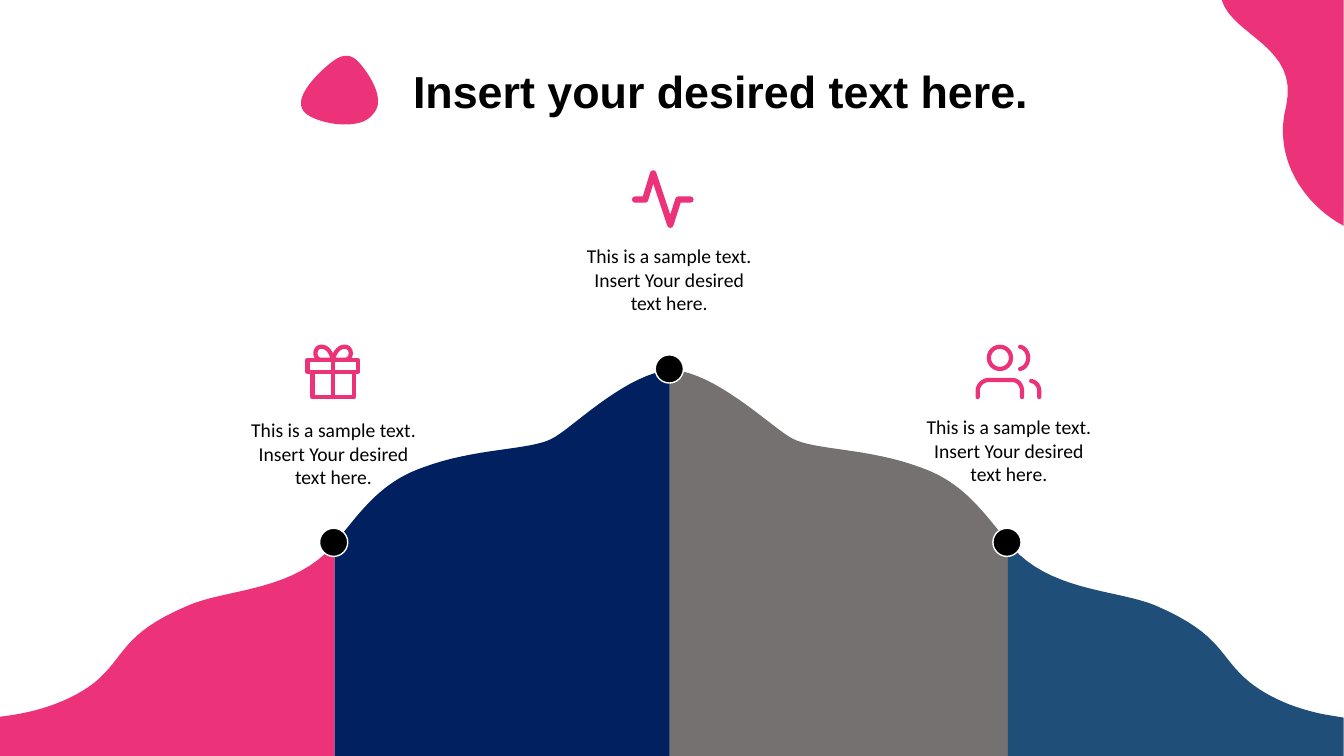
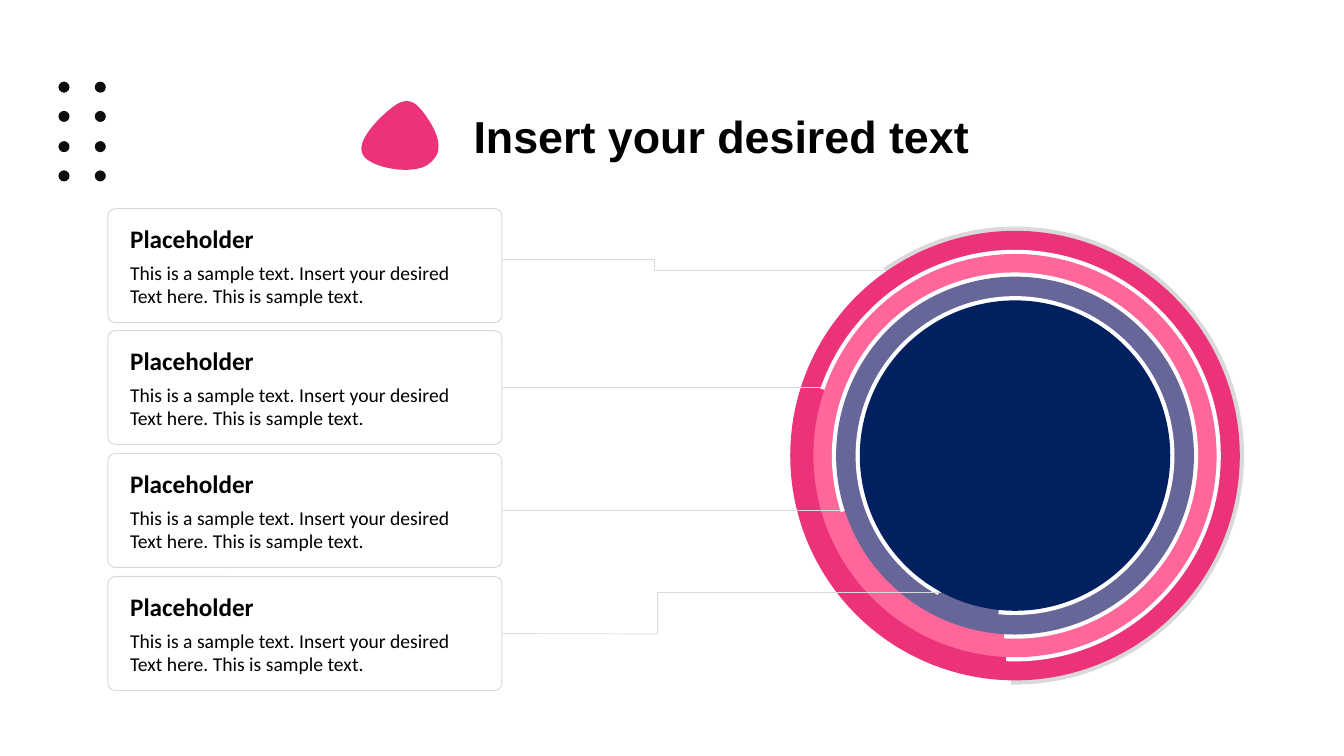
from lxml.etree import SubElement
from pptx import Presentation
from pptx.dml.color import RGBColor
from pptx.enum.shapes import MSO_CONNECTOR, MSO_SHAPE
from pptx.enum.text import MSO_ANCHOR, PP_ALIGN
from pptx.oxml.ns import qn
from pptx.util import Emu, Pt

SCALE = 9144  # EMU in one px: 100 px to the inch
STEPS = 16    # straight pieces in one curve

HUE = {
    "pink": "EC3279", "rose": "FF6699", "mauve": "666699", "navy": "002060",
    "stone": "767171", "teal": "1F4E79", "black": "000000", "dot": "0D0D0D",
    "pale": "D9D9D9", "white": "FFFFFF",
}

# Outlines: a pair is a straight step, six numbers are a Bezier curve
BLOB = [(3, 54), (-8, 40, 21, 13, 32, 5), (45, -5, 53, 0, 59, 7),
        (66, 15, 78, 32, 77, 46), (77, 54, 68, 64, 58, 66), (38, 71, 9, 63, 3, 54)]
CORNER = [(1212, 0), (1333, 0), (1333, 224), (1295, 204, 1262, 158, 1276, 105),
          (1289, 46, 1223, 36, 1212, 0)]
HILLS = [
    ("pink", [(332, 539), (332, 750), (0, 750), (0, 711), (19, 709, 62, 702, 94, 677),
              (125, 651, 120, 629, 186, 601), (222, 585, 282, 587, 323, 549)]),
    ("navy", [(667, 367), (667, 750), (332, 750), (332, 539), (345, 523),
              (366, 497, 385, 476, 419, 464), (472, 444, 526, 447, 548, 435),
              (566, 426, 614, 377, 658, 368)]),
    ("stone", [(664, 367), (667, 367), (675, 368), (719, 377, 768, 426, 786, 435),
               (808, 447, 861, 444, 914, 464), (948, 476, 967, 497, 988, 523),
               (1000, 537), (1000, 750), (664, 750)]),
    ("teal", [(1000, 537), (1011, 550), (1051, 587, 1112, 586, 1147, 601),
              (1214, 630, 1209, 652, 1240, 677), (1264, 696, 1294, 705, 1315, 709),
              (1333, 712), (1333, 750), (1000, 750)]),
]
PEAKS = [(650, 352), (317, 524), (985, 524)]

# Icons
PULSE = [(685, 198), (673, 198), (665, 223), (648, 172), (640, 198), (630, 198)]
GIFT = [
    [(351, 369), (351, 394), (310, 394), (310, 369)],
    [(305, 357), (355, 357), (355, 369), (305, 369), (305, 357)],
    [(330, 357), (319, 357), (311, 357, 311, 344, 319, 344), (325, 344, 329, 350, 330, 357)],
    [(330, 357), (342, 357), (350, 357, 350, 344, 342, 344), (336, 344, 332, 350, 330, 357)],
]
USERS = [
    [(1014, 394), (1014, 388), (1014, 382, 1010, 377, 1004, 377), (981, 377),
     (975, 377, 970, 382, 970, 388), (970, 394)],
    [(1031, 394), (1031, 388), (1031, 383, 1028, 379, 1023, 378)],
    [(1012, 344), (1017, 345, 1020, 350, 1020, 355), (1020, 360, 1017, 365, 1012, 366)],
]

# Wording
TITLES = ["Insert your desired text here.", "Insert your desired text"]
NOTE = ["This is a sample text.", "Insert Your desired", "text here."]
NOTES = [(569, 237), (236, 410), (906, 407)]
CARD = ["Placeholder", "This is a sample text. Insert your desired",
        "Text here. This is sample text."]

# Rings: width, fill, rim colour, rim start and end in degrees
HUB = (1007, 452)
RINGS = [
    (446, "pink", "pale", 235, 91),
    (400, "rose", "white", 199, 92.5),
    (355, "mauve", "white", 162, 93.5),
    (308, "navy", "white", 119, 96),
]
TIPS = {1: 816, 2: 839}  # card index: right end of its lead
ELBOW = [(498, 257), (649, 257), (649, 268), (898, 268)]
BEND = [(498, 628), (652, 629), (652, 588), (934, 588)]


def px(n):
    return Emu(round(n * SCALE))


def rgb(name):
    return RGBColor.from_string(HUE[name])


def paint(shape, fill=None, line=None, width=1):
    shape.shadow.inherit = False
    if fill:
        shape.fill.solid()
        shape.fill.fore_color.rgb = rgb(fill)
    else:
        shape.fill.background()
    if line:
        shape.line.color.rgb = rgb(line)
        shape.line.width = Pt(width)
    else:
        shape.line.fill.background()
    return shape


def preset(slide, kind, x, y, w, h, *look):
    shape = slide.shapes.add_shape(kind, px(x), px(y), px(w), px(h))
    return paint(shape, *look)


def trace(steps):
    """Turn straight steps and curves into plain points."""
    pts = [steps[0]]
    for step in steps[1:]:
        if len(step) == 2:
            pts.append(step)
            continue
        nodes = [pts[-1], step[:2], step[2:4], step[4:]]
        for i in range(1, STEPS + 1):
            t = i / STEPS
            mix = ((1 - t) ** 3, 3 * t * (1 - t) ** 2, 3 * t * t * (1 - t), t ** 3)
            pts.append(tuple(sum(m * n[k] for m, n in zip(mix, nodes)) for k in (0, 1)))
    return pts


def outline(slide, steps, fill=None, line=None, width=1, dx=0, dy=0):
    pts = [(px(x + dx), px(y + dy)) for x, y in trace(steps)]
    pen = slide.shapes.build_freeform(*pts[0], scale=1.0)
    pen.add_line_segments(pts[1:], close=bool(fill))
    return paint(pen.convert_to_shape(), fill, line, width)


def soften(shape):
    """Give a line round ends and joins."""
    ln = shape.line._get_or_add_ln()
    ln.set("cap", "rnd")
    SubElement(ln, qn("a:round"))


def lead(slide, start, end, color="pale", width=0.5):
    ends = [px(n) for n in (*start, *end)]
    line = slide.shapes.add_connector(MSO_CONNECTOR.STRAIGHT, *ends)
    line.line.color.rgb = rgb(color)
    line.line.width = Pt(width)
    SubElement(line._element.spPr, qn("a:effectLst"))
    return line


def write(frame, lines, size, font="Calibri", bold=False, align=PP_ALIGN.LEFT):
    frame.word_wrap = True
    for i, text in enumerate(lines):
        par = frame.paragraphs[0] if i == 0 else frame.add_paragraph()
        par.text = text
        par.alignment = align
        par.font.size = Pt(size)
        par.font.name = font
        par.font.bold = bold
        par.font.color.rgb = rgb("black")


def label(slide, x, y, w, h, *style, **more):
    box = slide.shapes.add_textbox(px(x), px(y), px(w), px(h))
    write(box.text_frame, *style, **more)


def heading(slide, text, x, y):
    outline(slide, BLOB, "pink", dx=x, dy=y)
    label(slide, x + 102, y + 2, 680, 64, [text], 32, "Arial", True)


def disc(slide, x, y, size, *look):
    return preset(slide, MSO_SHAPE.OVAL, x, y, size, size, *look)


def mountain(slide):
    heading(slide, TITLES[0], 298, 56)
    for color, steps in HILLS:
        outline(slide, steps, color)
    for x, y in PEAKS:
        disc(slide, x, y, 28, "black", "white", 1)
    # Icons and their notes
    soften(outline(slide, PULSE, None, "pink", 4.5))
    for steps in GIFT + USERS:
        soften(outline(slide, steps, None, "pink", 3))
    lead(slide, (330, 394), (330, 357), "pink", 3)
    disc(slide, 981, 344, 22, None, "pink", 3)
    for x, y in NOTES:
        label(slide, x, y, 190, 81, NOTE, 14, align=PP_ALIGN.CENTER)
    outline(slide, CORNER, "pink")


def card(slide, y):
    box = preset(slide, MSO_SHAPE.ROUNDED_RECTANGLE, 107, y, 391, 113,
                 "white", "pale", 0.75)
    box.adjustments[0] = 0.064
    frame = box.text_frame
    frame.margin_left = px(20)
    frame.vertical_anchor = MSO_ANCHOR.MIDDLE
    write(frame, CARD, 14)
    head, body = frame.paragraphs[:2]
    head.font.size = Pt(18)
    head.font.bold = True
    body.space_before = Pt(5)
    return box


def circles(slide):
    heading(slide, TITLES[1], 358, 101)
    for i in range(8):
        disc(slide, 58 + 36 * (i % 2), 81 + round(29.3 * (i // 2)), 11, "dot")
    tops = [207 + i * 365 // 3 for i in range(4)]
    cards = [card(slide, y) for y in tops]
    outline(slide, ELBOW, None, "pale", 0.75)
    # Rings, each with its rim below and the next card's lead above
    for i, (size, fill, rim, start, end) in enumerate(RINGS):
        x, y = (c - size / 2 for c in HUB)
        arc = preset(slide, MSO_SHAPE.ARC, x, y, size, size, None, rim, 6)
        for k, angle in enumerate((start, end)):
            arc.adjustments[k] = angle * 0.6
        disc(slide, x, y, size, fill)
        if i + 1 in TIPS:
            mid = tops[i + 1] + 56.5
            lead(slide, (498, mid), (TIPS[i + 1], mid)).begin_connect(cards[i + 1], 3)
    # Bent lead of the last card
    parts = [lead(slide, a, b) for a, b in zip(BEND, BEND[1:])]
    parts[0].begin_connect(cards[3], 3)


def main():
    deck = Presentation()
    deck.slide_width, deck.slide_height = Emu(12192000), px(750)
    for draw in (mountain, circles):
        draw(deck.slides.add_slide(deck.slide_layouts[6]))
    deck.save("out.pptx")


if __name__ == "__main__":
    main()
